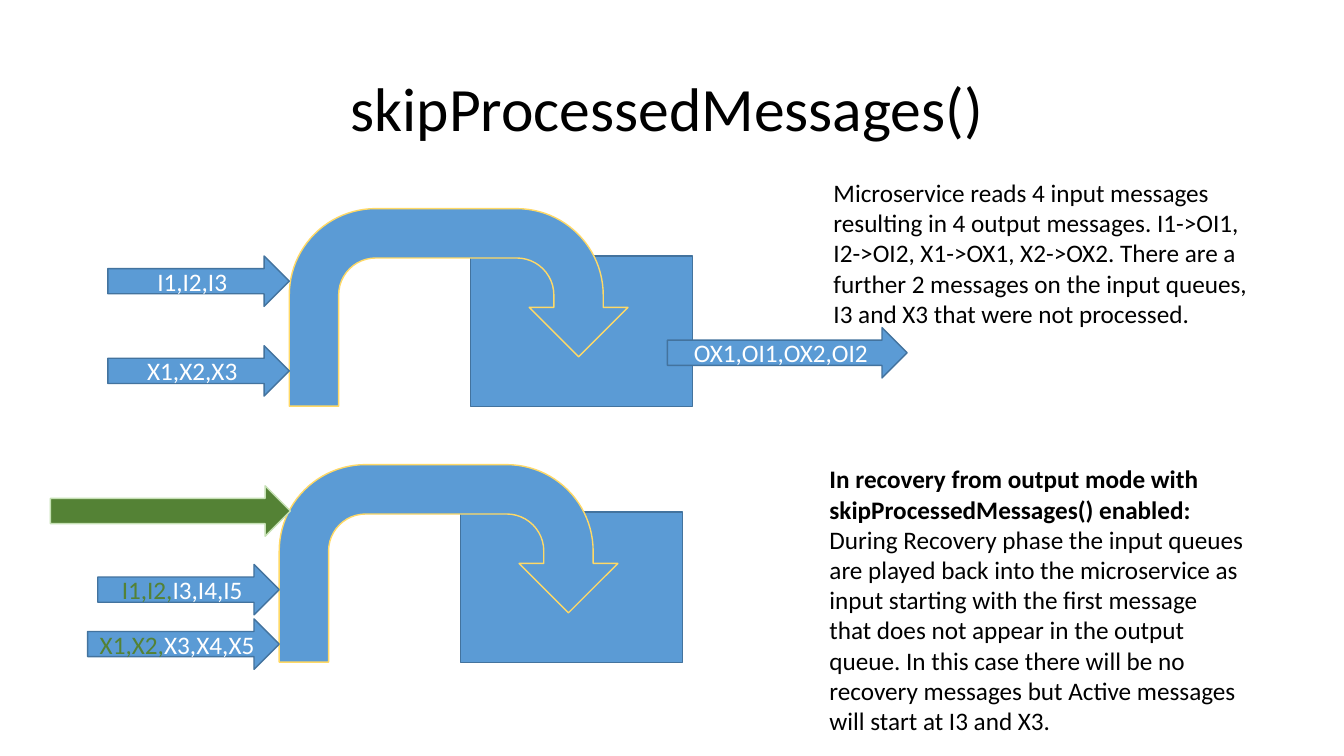
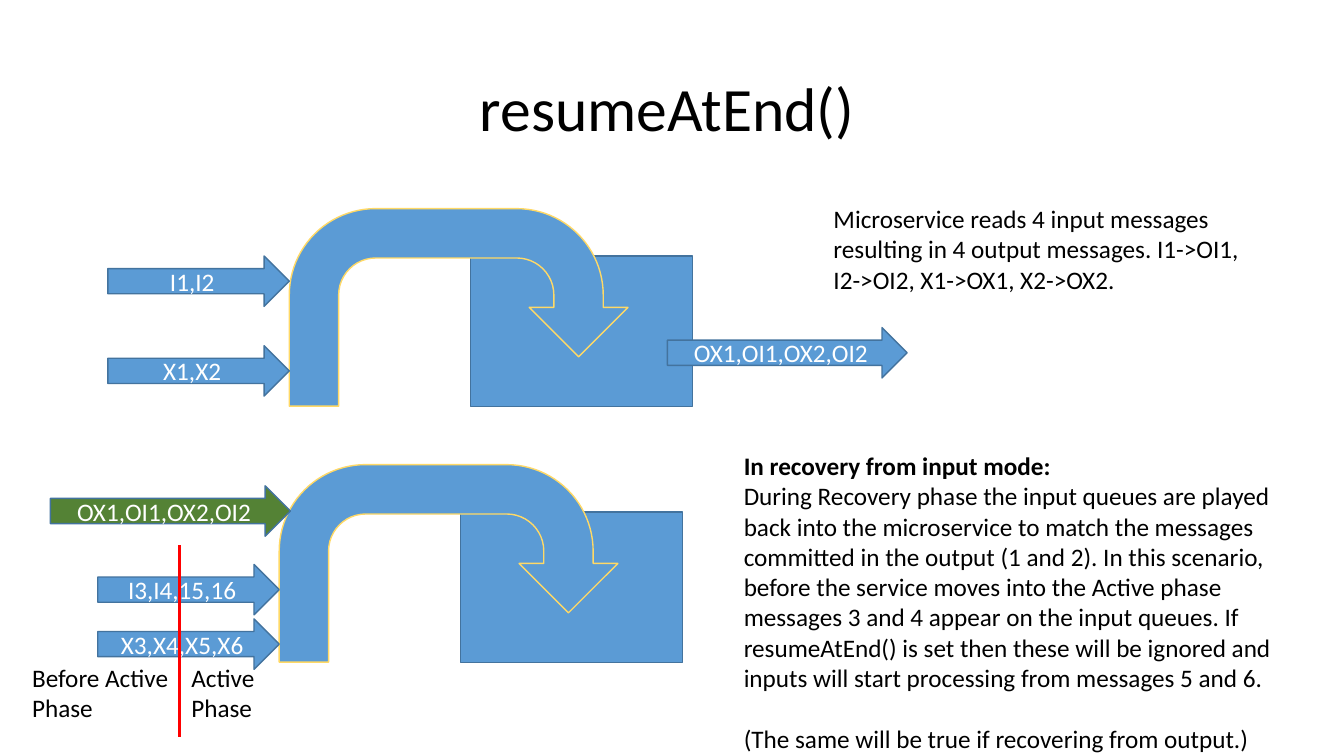
from dataclasses import dataclass

from lxml import etree
from pptx import Presentation
from pptx import util as u
from pptx.dml.color import RGBColor
from pptx.enum import shapes, text
from pptx.oxml.ns import qn


@dataclass(frozen=True)
class Theme:
    """Colours, type and grid shared by the slides."""
    font: str = "Calibri"
    title_size: int = 44
    body_size: int = 18
    ink: str = "000000"
    light: str = "FFFFFF"
    blue: str = "5B9BD5"
    edge: str = "43739E"
    gold: str = "FFD966"
    green: str = "548235"
    pale_green: str = "C5E0B4"
    red: str = "FF0000"
    columns: float = 133.33
    rows: float = 75
    cell: float = 0.1


T = Theme()
KIND = shapes.MSO_SHAPE
UPPER = (28.7, 20.7)
LOWER = (27.7, 46.1)
ARROW_HEIGHT = 5
OUTPUT_WIDTH = 23.8
OUTPUT_TEXT = "OX1,OI1,OX2,OI2"


def grid(*cells):
    """Turn counts of grid columns or rows into lengths."""
    return [u.Inches(n * T.cell) for n in cells]


def write(p, content, size=T.body_size, color=T.ink, bold=False, align=None):
    """Add a formatted run to a paragraph."""
    if align is not None:
        p.alignment = align
    r = p.add_run()
    r.text = content
    f = r.font
    f.name, f.size, f.bold = T.font, u.Pt(size), bold
    f.color.rgb = RGBColor.from_string(color)


def add_block(s, kind, box, fill=T.blue, line=T.edge):
    """Add a filled and outlined preset shape."""
    sp = s.shapes.add_shape(kind, *grid(*box))
    sp.shadow.inherit = False
    sp.fill.solid()
    sp.fill.fore_color.rgb = RGBColor.from_string(fill)
    sp.line.color.rgb = RGBColor.from_string(line)
    sp.line.width = u.Pt(1)
    return sp


def add_arrow(s, x, y, width, label="", done="", **colors):
    """Add a queue arrow, with the messages already done in green."""
    sp = add_block(s, KIND.RIGHT_ARROW, (x, y, width, ARROW_HEIGHT), **colors)
    tf = sp.text_frame
    tf.word_wrap = True
    tf.vertical_anchor = text.MSO_ANCHOR.MIDDLE
    for content, color in ((done, T.green), (label, T.light)):
        if content:
            write(tf.paragraphs[0], content, color=color,
                  align=text.PP_ALIGN.CENTER)


def add_service(s, origin):
    """Add a microservice box with the turn arrow that feeds it."""
    x, y = origin
    add_block(s, KIND.RECTANGLE, (x + 18, y + 4.7, 22, 14.9))
    add_block(s, KIND.U_TURN_ARROW, (x, y, 33.6, 19.6), line=T.gold)


def add_input(s, origin, drop, label, done="", width=18):
    """Add an input queue whose tip touches the turn arrow."""
    x, y = origin
    add_arrow(s, x - width, y + drop, width, label, done)


def add_note(s, box, body, heading="", closing=""):
    """Add a text box with an optional bold heading and closing line."""
    sp = s.shapes.add_textbox(*grid(*box))
    tf = sp.text_frame
    tf.word_wrap = True
    tf.auto_size = text.MSO_AUTO_SIZE.SHAPE_TO_FIT_TEXT
    p = tf.paragraphs[0]
    if heading:
        write(p, heading, bold=True)
        p = tf.add_paragraph()
    write(p, body)
    if closing:
        p = tf.add_paragraph()
        p.space_before = u.Pt(22)
        write(p, closing)


def add_divider(s, x, top, bottom):
    """Add a vertical red line."""
    line = s.shapes.add_connector(shapes.MSO_CONNECTOR.STRAIGHT,
                                  *grid(x, top, x, bottom))
    line.line.color.rgb = RGBColor.from_string(T.red)
    line.line.width = u.Pt(2)
    etree.SubElement(line._element.spPr, qn("a:effectLst"))


def add_slide(prs, title, inputs):
    """Add a titled slide with both services and the normal queues."""
    s = prs.slides.add_slide(prs.slide_layouts[5])
    sp = s.shapes.title
    sp.left, sp.top, sp.width, sp.height = grid(8.7, 3.8, 115, 14.5)
    tf = sp.text_frame
    tf.word_wrap = True
    tf.auto_size = text.MSO_AUTO_SIZE.NONE
    tf.vertical_anchor = text.MSO_ANCHOR.MIDDLE
    p = tf.paragraphs[0]
    p.line_spacing = 0.9
    write(p, title, size=T.title_size, align=text.PP_ALIGN.CENTER)
    for origin in (UPPER, LOWER):
        add_service(s, origin)
    for drop, label in zip((4.7, 13.6), inputs):
        add_input(s, UPPER, drop, label)
    add_arrow(s, 66.2, 32.5, OUTPUT_WIDTH, OUTPUT_TEXT)
    return s


def add_replay(s, label="", line=T.edge):
    """Add the green output queue read back in recovery."""
    add_arrow(s, 5, 48.2, OUTPUT_WIDTH, label, fill=T.green, line=line)


def skip_slide(prs):
    """Build the slide on skipping processed messages."""
    s = add_slide(prs, "skipProcessedMessages()", ("I1,I2,I3", "X1,X2,X3"))
    add_replay(s, line=T.pale_green)
    add_input(s, LOWER, 9.9, "I3,I4,I5", done="I1,I2,")
    add_input(s, LOWER, 15.3, "X3,X4,X5", done="X1,X2,", width=19)
    add_note(s, (81.7, 17.1, 43.2, 16.2),
             "Microservice reads 4 input messages resulting in 4 output "
             "messages. I1->OI1, I2->OI2, X1->OX1, X2->OX2. There are a "
             "further 2 messages on the input queues, I3 and X3 that were "
             "not processed.")
    add_note(s, (81.3, 45.5, 43.2, 28.3),
             "During Recovery phase the input queues are played back into "
             "the microservice as input starting with the first message that "
             "does not appear in the output queue. In this case there will "
             "be no recovery messages but Active messages will start at I3 "
             "and X3.",
             heading="In recovery from output mode with "
                     "skipProcessedMessages() enabled:")


def resume_slide(prs):
    """Build the slide on resuming at the end."""
    s = add_slide(prs, "resumeAtEnd()", ("I1,I2", "X1,X2"))
    add_replay(s, OUTPUT_TEXT)
    add_input(s, LOWER, 9.9, "I3,I4,15,16")
    add_input(s, LOWER, 15.3, "X3,X4,X5,X6")
    add_note(s, (81.7, 19.7, 43.2, 10.1),
             "Microservice reads 4 input messages resulting in 4 output "
             "messages. I1->OI1, I2->OI2, X1->OX1, X2->OX2.")
    add_note(s, (72.8, 44.2, 54.5, 28.3),
             "During Recovery phase the input queues are played back into "
             "the microservice to match the messages committed in the output "
             "(1 and 2). In this scenario, before the service moves into the "
             "Active phase messages 3 and 4 appear on the input queues. If "
             "resumeAtEnd() is set then these will be ignored and inputs "
             "will start processing from messages 5 and 6.",
             heading="In recovery from input mode:",
             closing="(The same will be true if recovering from output.)")
    add_divider(s, 17.8, 54.1, 73.1)
    add_note(s, (2.2, 65.2, 15.6, 7.1), "Before Active Phase")
    add_note(s, (18, 65.2, 11.9, 7.1), "Active Phase")


def main():
    """Build and save the presentation."""
    prs = Presentation()
    prs.slide_width, prs.slide_height = grid(T.columns, T.rows)
    skip_slide(prs)
    resume_slide(prs)
    prs.save("out.pptx")


if __name__ == "__main__":
    main()
